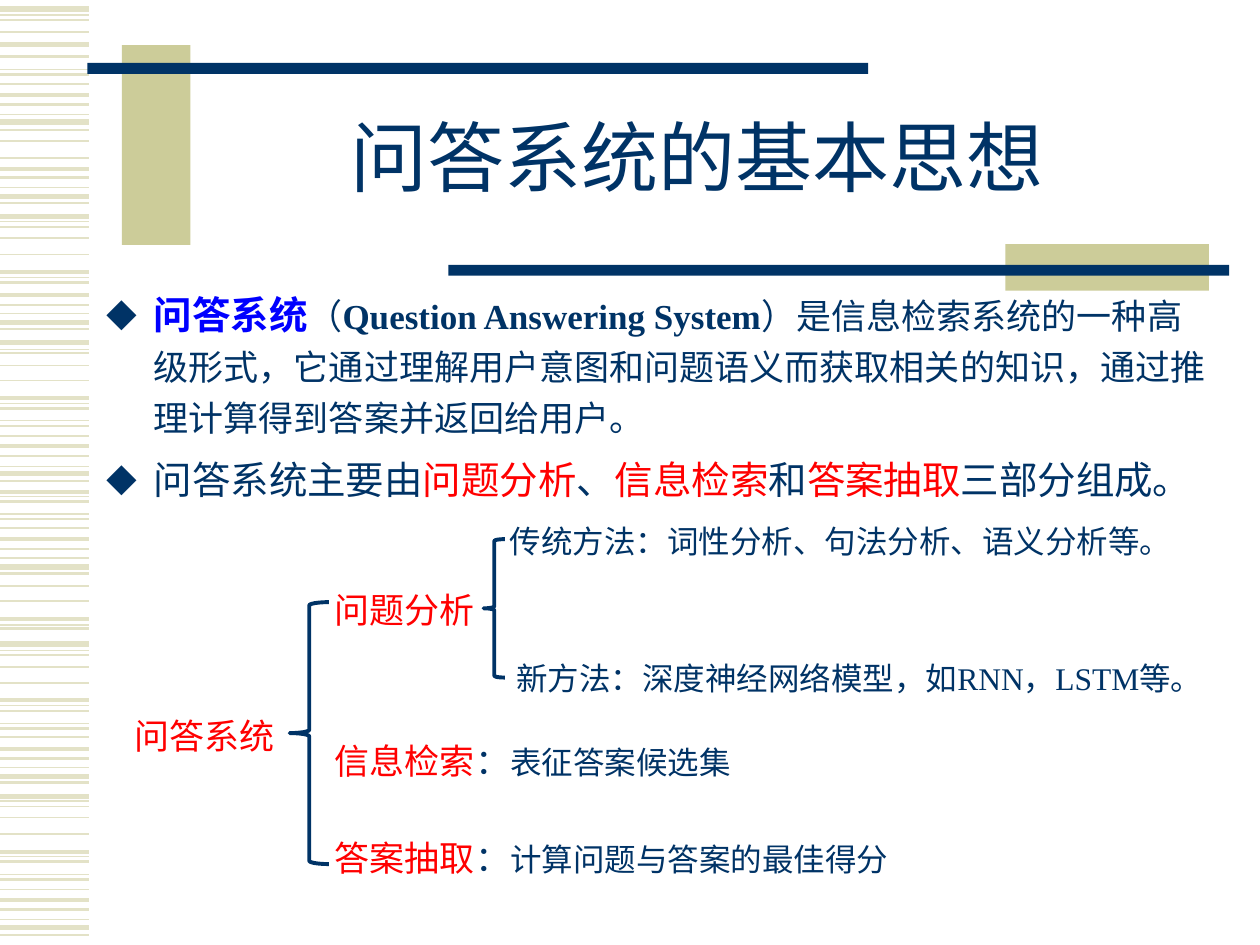
from lxml import etree
from pptx import Presentation
from pptx.dml.color import RGBColor
from pptx.enum.shapes import MSO_CONNECTOR, MSO_SHAPE
from pptx.enum.text import MSO_ANCHOR, PP_ALIGN
from pptx.oxml.ns import qn
from pptx.util import Cm, Pt

NAVY = RGBColor(0x00, 0x33, 0x66)
KHAKI = RGBColor(0xCC, 0xCC, 0x99)
PALE_KHAKI = RGBColor(0xE3, 0xE2, 0xC7)
RED = RGBColor(0xFF, 0x00, 0x00)
BLUE = RGBColor(0x00, 0x00, 0xFF)
CJK_FONT = "Noto Sans CJK SC"
LATIN_FONT = "Times New Roman"
STRAIGHT = MSO_CONNECTOR.STRAIGHT
RECTANGLE = MSO_SHAPE.RECTANGLE
LEFT_BRACE = MSO_SHAPE.LEFT_BRACE
TOP = MSO_ANCHOR.TOP
MIDDLE = MSO_ANCHOR.MIDDLE
CENTER = PP_ALIGN.CENTER


def add_runs(paragraph, runs):
    for text, size, color, *options in runs:
        run = paragraph.add_run()
        run.text = text
        latin = LATIN_FONT if "latin" in options else CJK_FONT
        formats = {"name": latin, "size": Pt(size), "bold": "bold" in options}
        for attribute, value in formats.items():
            setattr(run.font, attribute, value)
        run.font.color.rgb = color
        east_asian = etree.SubElement(run.font._element, qn("a:ea"))
        east_asian.set("typeface", CJK_FONT)


def add_text_frame(left, top, width, height, anchor=TOP):
    box = slide.shapes.add_textbox(Cm(left), Cm(top), Cm(width), Cm(height))
    box.text_frame.word_wrap = True
    box.text_frame.vertical_anchor = anchor
    return box.text_frame


presentation = Presentation()
presentation.slide_width = Cm(25.4)
presentation.slide_height = Cm(19.05)
slide = presentation.slides.add_slide(presentation.slide_layouts[6])

stripes = {
    0.75: [0.3, 1.4, 2.31, 3.78, 4.47, 5.59, 6.32, 7.04, 8.13, 8.48, 9.4, 10.01,
           10.36, 11.25, 12.6, 13.11, 14.22, 14.58, 15.47, 16.15, 17.27, 17.63, 18.54],
    1: [0.41, 0.64, 1.7, 2.84, 3.18, 4.57, 4.8, 5.13, 7.11, 7.37, 7.67, 8.79,
        10.64, 11.81, 12.12, 13.21, 13.44, 13.77, 14.86, 16.26, 16.48, 16.81, 17.93],
    1.5: [1.14, 1.5, 2.11, 2.62, 3.58, 4.09, 5.69, 6.15, 6.63, 8.23, 8.59, 9.19, 9.7,
          10.11, 10.46, 11.07, 11.56, 12.67, 14.33, 14.68, 15.29, 15.77, 17.37, 17.73,
          18.34, 18.85],
    2.25: [1.91, 3.4, 5.49, 5.94, 8.03, 8.99, 9.91, 10.87, 12.47, 14.12, 15.09, 17.17,
           18.14],
    3: [0.18, 0.89, 2.46, 3.96, 4.37, 6.5, 6.91, 9.55, 11.43, 12.98, 15.65, 16.05,
        18.69],
}
for weight, heights in stripes.items():
    for y in heights:
        stripe = slide.shapes.add_connector(STRAIGHT, 0, Cm(y), Cm(1.8), Cm(y))
        stripe.line.width = Pt(weight)
        stripe.line.color.rgb = PALE_KHAKI
        etree.SubElement(stripe._element.spPr, qn("a:effectLst"))

bars = [
    (2.46, 0.91, 1.38, 4.03, KHAKI),
    (1.76, 1.27, 15.74, 0.22, NAVY),
    (20.27, 4.92, 4.1, 0.94, KHAKI),
    (9.04, 5.34, 15.74, 0.22, NAVY),
]
for left, top, width, height, color in bars:
    bar = slide.shapes.add_shape(RECTANGLE, Cm(left), Cm(top), Cm(width), Cm(height))
    bar.shadow.inherit = False
    bar.fill.solid()
    bar.fill.fore_color.rgb = color
    bar.line.fill.background()

title = add_text_frame(3.81, 1.7, 20.5, 3.18, MIDDLE).paragraphs[0]
title.alignment = CENTER
title.line_spacing = 0.85
add_runs(title, [("问答系统的基本思想", 44, NAVY, "latin")])

bullets = [
    [
        ("问答系统", 22, BLUE, "bold"),
        ("（", 20, NAVY),
        ("Question Answering System", 20, NAVY, "bold", "latin"),
        ("）是信息检索系统的一种高级形式，它通过理解用户意图和问题语义而获取相关的知识，"
         "通过推理计算得到答案并返回给用户。", 20, NAVY),
    ],
    [
        ("问答系统主要由", 22, NAVY),
        ("问题分析", 22, RED),
        ("、", 22, NAVY),
        ("信息检索", 22, RED),
        ("和", 22, NAVY),
        ("答案抽取", 22, RED),
        ("三部分组成。", 22, NAVY),
    ],
]
body = add_text_frame(1.9, 5.65, 22.81, 3.61)
for index, runs in enumerate(bullets):
    paragraph = body.add_paragraph() if index else body.paragraphs[0]
    for attribute, value in {"line_spacing": Pt(29), "space_before": Pt(7.3)}.items():
        setattr(paragraph, attribute, value)
    properties = paragraph._element.get_or_add_pPr()
    properties.set("marL", str(Cm(0.95)))
    properties.set("indent", str(-Cm(0.95)))
    bullet_color = etree.SubElement(properties, qn("a:buClr"))
    etree.SubElement(bullet_color, qn("a:srgbClr")).set("val", str(NAVY))
    etree.SubElement(properties, qn("a:buSzPct")).set("val", "80000")
    etree.SubElement(properties, qn("a:buFont")).set("typeface", CJK_FONT)
    etree.SubElement(properties, qn("a:buChar")).set("char", "◆")
    add_runs(paragraph, runs)

labels = [
    (2.46, 14.27, 4.19, 1.12, [("问答系统", 20, RED)]),
    (6.5, 11.73, 4.19, 1.12, [("问题分析", 20, RED)]),
    (10.03, 10.39, 14.66, 1.02, [("传统方法：词性分析、句法分析、语义分析等。", 18, NAVY)]),
    (10.16, 13.16, 14.1, 1.02, [
        ("新方法：深度神经网络模型，如", 18, NAVY),
        ("RNN", 18, NAVY, "latin"),
        ("，", 18, NAVY),
        ("LSTM等。", 18, NAVY, "latin"),
    ]),
    (6.5, 14.78, 12.07, 1.12, [
        ("信息检索", 20, RED), ("：", 20, NAVY), ("表征答案候选集", 18, NAVY),
    ]),
    (6.5, 16.74, 12.07, 1.12, [
        ("答案抽取", 20, RED), ("：", 20, NAVY), ("计算问题与答案的最佳得分", 18, NAVY),
    ]),
]
for left, top, width, height, runs in labels:
    add_runs(add_text_frame(left, top, width, height).paragraphs[0], runs)

braces = [(9.75, 10.87, 0.43, 2.79), (5.84, 12.14, 0.79, 5.28)]
for left, top, width, height in braces:
    brace = slide.shapes.add_shape(LEFT_BRACE, Cm(left), Cm(top), Cm(width), Cm(height))
    brace.shadow.inherit = False
    brace.fill.background()
    brace.line.color.rgb = NAVY
    brace.line.width = Pt(2.25)

presentation.save("out.pptx")
